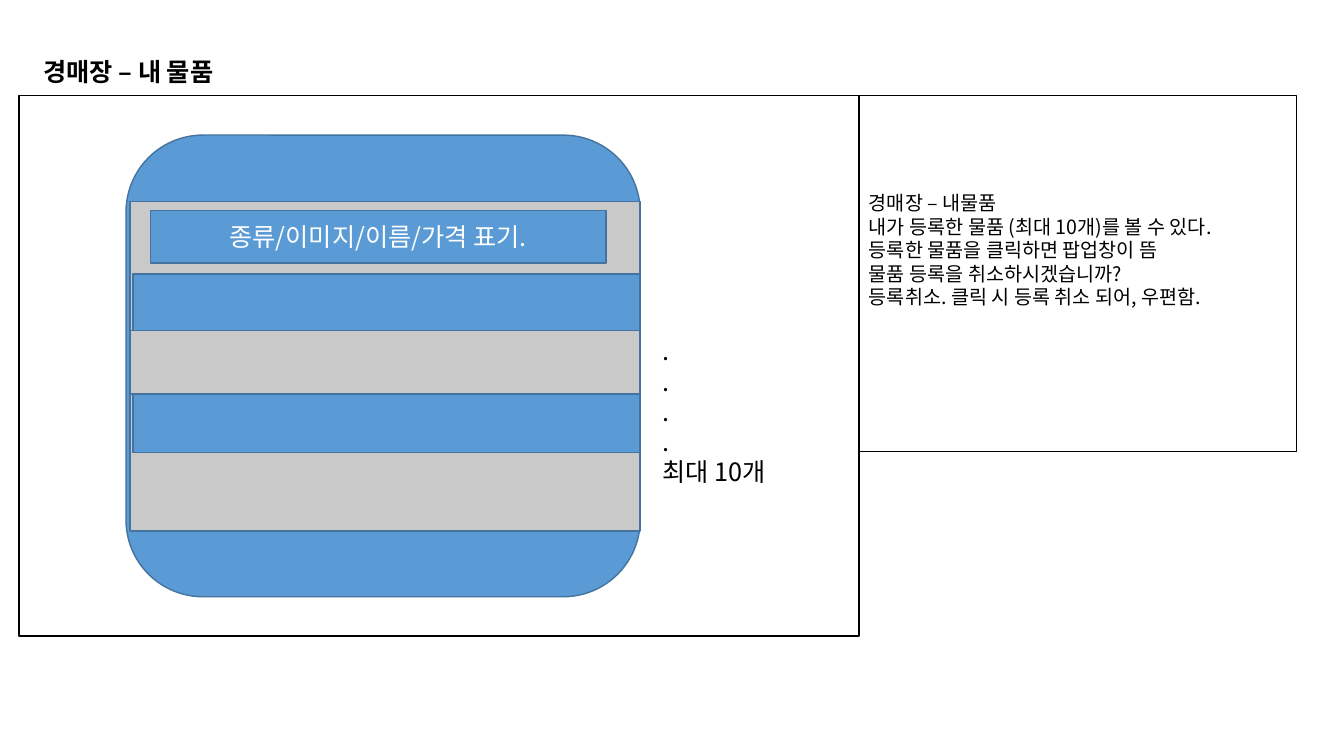
from dataclasses import dataclass

from lxml.etree import SubElement
from pptx import Presentation
from pptx.dml.color import RGBColor
from pptx.enum.shapes import MSO_SHAPE
from pptx.enum.text import MSO_ANCHOR, MSO_AUTO_SIZE, PP_ALIGN
from pptx.oxml.ns import qn
from pptx.util import Inches, Pt


@dataclass(frozen=True)
class Theme:
    font: str = "Noto Sans CJK KR"
    black: RGBColor = RGBColor(0, 0, 0)
    white: RGBColor = RGBColor(255, 255, 255)
    blue: RGBColor = RGBColor(0x5B, 0x9B, 0xD5)
    navy: RGBColor = RGBColor(0x43, 0x73, 0x9E)
    gray: RGBColor = RGBColor(0xC9, 0xC9, 0xC9)
    large: Pt = Pt(18)
    small: Pt = Pt(14)


THEME = Theme()


def write(shape, lines, size, color, align=PP_ALIGN.LEFT,
          anchor=MSO_ANCHOR.TOP, bold=False, wrap=True):
    frame = shape.text_frame
    frame.text = "\n".join(lines)
    frame.word_wrap = wrap
    frame.auto_size = MSO_AUTO_SIZE.NONE
    frame.vertical_anchor = anchor
    for para in frame.paragraphs:
        para.alignment = align
        font = para.font
        font.size = size
        font.bold = bold
        font.color.rgb = color
        font.name = THEME.font
        props = para._p.pPr.find(qn("a:defRPr"))
        SubElement(props, qn("a:ea")).set("typeface", THEME.font)


def panel(slide, box, fill, line, kind=MSO_SHAPE.RECTANGLE):
    shape = slide.shapes.add_shape(kind, *map(Inches, box))
    shape.shadow.inherit = False
    shape.fill.solid()
    shape.fill.fore_color.rgb = fill
    shape.line.color.rgb = line
    shape.line.width = Pt(1)
    return shape


def heading(slide, box):
    title = slide.shapes.title
    title.left, title.top, title.width, title.height = map(Inches, box)
    write(title, ["경매장 – 내 물품"], THEME.large, THEME.black,
          bold=True, wrap=False)


def notice(slide, box):
    shape = panel(slide, box, THEME.white, THEME.black)
    lines = [
        "경매장 – 내물품",
        "내가 등록한 물품 (최대 10개)를 볼 수 있다.",
        "등록한 물품을 클릭하면 팝업창이 뜸",
        "물품 등록을 취소하시겠습니까?",
        "등록취소. 클릭 시 등록 취소 되어, 우편함.",
    ]
    write(shape, lines, THEME.small, THEME.black, anchor=MSO_ANCHOR.MIDDLE)
    shape.text_frame.margin_bottom = Inches(0.52)


def window(slide, box):
    left, top, width, height = box
    panel(slide, box, THEME.blue, THEME.navy, MSO_SHAPE.ROUNDED_RECTANGLE)
    right = left + width
    bands = [
        (0.04, 0.66, 3.27, THEME.gray),
        (0.07, 1.38, 1.77, THEME.blue),
        (0.04, 1.94, 0.63, THEME.gray),
    ]
    for inset, drop, tall, fill in bands:
        place = (left + inset, top + drop, width - inset, tall)
        panel(slide, place, fill, THEME.navy)
    label = panel(slide, (left + 0.24, top + 0.75, 4.52, 0.52),
                  THEME.blue, THEME.navy)
    write(label, ["종류/이미지/이름/가격 표기."], THEME.large, THEME.white,
          PP_ALIGN.CENTER, MSO_ANCHOR.MIDDLE)
    place = (right + 0.12, top + 1.94, 1.65, 1.62)
    limit = slide.shapes.add_textbox(*map(Inches, place))
    write(limit, ["."] * 4 + ["최대 10개"], THEME.large, THEME.black)


def board(slide, box):
    left, top, width, height = box
    panel(slide, box, THEME.white, THEME.black)
    window(slide, (left + 1.06, top + 0.39, 5.1, 4.58))
    notice(slide, (left + width, top, 4.34, 3.53))


def main():
    deck = Presentation()
    deck.slide_width, deck.slide_height = Inches(13.33), Inches(7.5)
    slide = deck.slides.add_slide(deck.slide_layouts[5])
    heading(slide, (0.33, 0.51, 2.11, 0.4))
    board(slide, (0.19, 0.95, 8.33, 5.36))
    deck.save("out.pptx")


if __name__ == "__main__":
    main()
